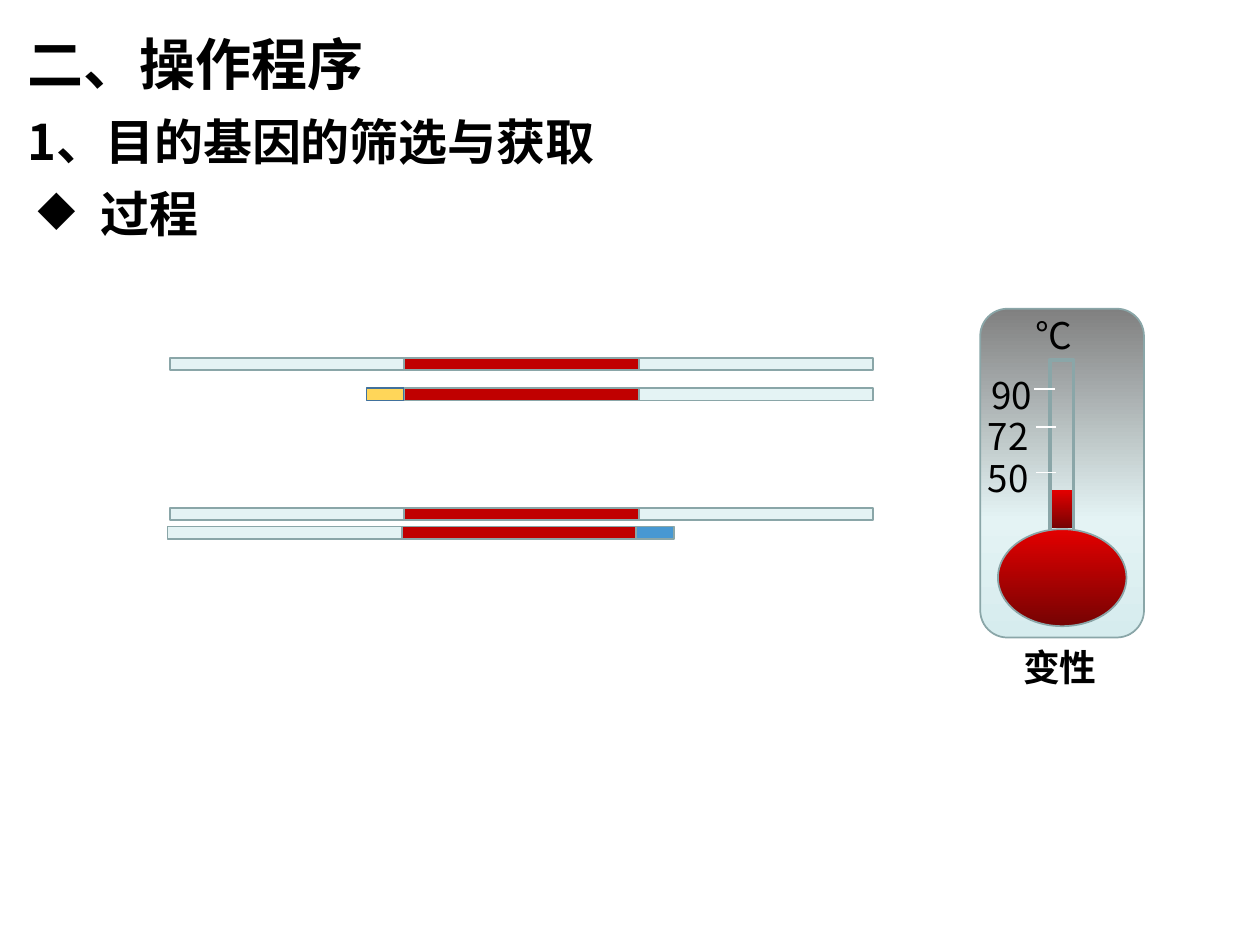
import copy
import pptx
import pptx.util
import pptx.dml.color
import pptx.enum.shapes
import pptx.enum.text
import pptx.oxml.ns
import pptx.oxml.xmlchemy

Inches = pptx.util.Inches
Pt = pptx.util.Pt
qn = pptx.oxml.ns.qn
make = pptx.oxml.xmlchemy.OxmlElement
KIND = pptx.enum.shapes.MSO_SHAPE

THEME = {
    "font": "Noto Sans CJK SC", "label": "Arial", "ink": "000000",
    "pale": "E4F3F4", "gene": "C00000", "left": "FFD659", "right": "4798D2",
    "edge": "8AA6A8", "navy": "41719C", "tick": "FFFFFF",
    "heat": [(0, "E30000"), (100, "760303")],
    "case": [(0, "808080"), (64, "E4F3F4"), (100, "D6ECEE")],
    "title": 32, "head": 28, "scale": 21,
}

UNIT, PRIMER, THICK = 1.86, 0.3, 0.1
TEMPLATE = [("pale", UNIT), ("gene", UNIT), ("pale", UNIT)]
STRANDS = [
    (1.35, 2.84, TEMPLATE),
    (2.91, 3.08, [("left", PRIMER), ("gene", UNIT), ("pale", UNIT)]),
    (1.33, 4.18, [("pale", UNIT), ("gene", UNIT), ("right", PRIMER)]),
    (1.35, 4.03, TEMPLATE),
]
MARKS = [
    ("90", 7.81, 2.93, 8.21, 3.09),
    ("72", 7.78, 3.25, 8.22, 3.39),
    ("50", 7.78, 3.59, 8.22, 3.75),
]
TICK = 0.16
BODY = [
    (KIND.ROUNDED_RECTANGLE, (7.78, 2.45, 1.3, 2.61), "case", "edge", 1),
    (KIND.RECTANGLE, (8.33, 3.89, 0.19, 0.3), "heat", None, 0),
    (KIND.RECTANGLE, (8.33, 2.86, 0.19, 1.64), None, "edge", 2.25),
    (KIND.OVAL, (7.92, 4.2, 1.02, 0.77), "heat", "edge", 1),
]
TITLES = [("二、操作程序", THEME["title"]), ("1、目的基因的筛选与获取", THEME["head"])]


def tint(key):
    return pptx.dml.color.RGBColor.from_string(THEME[key])


def blend(shape, stops):
    shape.fill.gradient()
    shape.fill.gradient_angle = 270
    items = shape.element.spPr.find(qn("a:gradFill")).find(qn("a:gsLst"))
    for old in list(items):
        items.remove(old)
    for pos, code in stops:
        stop, color = make("a:gs"), make("a:srgbClr")
        stop.set("pos", str(pos * 1000))
        color.set("val", code)
        stop.append(color)
        items.append(stop)


def draw(shapes, kind, box, fill, line, width=1):
    shape = shapes.add_shape(kind, *map(Inches, box))
    shape.shadow.inherit = False
    if fill is None:
        shape.fill.background()
    elif isinstance(THEME[fill], list):
        blend(shape, THEME[fill])
    else:
        shape.fill.solid()
        shape.fill.fore_color.rgb = tint(fill)
    if line:
        shape.line.color.rgb = tint(line)
        shape.line.width = Pt(width)
    else:
        shape.line.fill.background()


def write(shapes, box, lines, font=THEME["font"], bold=False, pad=(0.1, 0.05),
          space=None, bullet=None):
    frame = shapes.add_textbox(*map(Inches, box)).text_frame
    frame.word_wrap = True
    frame.auto_size = pptx.enum.text.MSO_AUTO_SIZE.SHAPE_TO_FIT_TEXT
    frame.margin_left = frame.margin_right = Inches(pad[0])
    frame.margin_top = frame.margin_bottom = Inches(pad[1])
    for i, (text, size) in enumerate(lines):
        para = frame.add_paragraph() if i else frame.paragraphs[0]
        if space:
            para.line_spacing = space
        if bullet:
            props = para._p.get_or_add_pPr()
            props.set("marL", str(Inches(0.5)))
            props.set("indent", str(-Inches(0.5)))
            mark = make("a:buChar")
            mark.set("char", bullet)
            props.append(mark)
        run = para.add_run()
        run.text = text
        run.font.size = Pt(size)
        run.font.bold = bold
        run.font.name = font
        run.font.color.rgb = tint("ink")
        east = make("a:ea")
        east.set("typeface", THEME["font"])
        run.font._element.append(east)


def rule(shapes, x, y):
    line = shapes.add_connector(
        pptx.enum.shapes.MSO_CONNECTOR.STRAIGHT,
        Inches(x + TICK), Inches(y), Inches(x), Inches(y))
    line.line.color.rgb = tint("tick")
    line.line.width = Pt(1)
    line._element.spPr.append(make("a:effectLst"))


def strand(shapes, x, y, parts):
    group = shapes.add_group_shape().shapes
    for fill, width in parts:
        edge = "navy" if fill == "left" else "edge"
        draw(group, KIND.RECTANGLE, (x, y, width, THICK), fill, edge)
        x += width


def main():
    deck = pptx.Presentation()
    deck.slide_width, deck.slide_height = Inches(10), Inches(7.5)
    shapes = deck.slides.add_slide(deck.slide_layouts[6]).shapes
    for x, y, parts in STRANDS:
        strand(shapes, x, y, parts)
    for part in BODY:
        draw(shapes, *part)
    size, pad = THEME["scale"], (0.06, 0.03)
    for text, x, y, left, level in MARKS:
        write(shapes, (x, y, 1.05, 0.41), [(text, size)], pad=pad)
        rule(shapes, left, level)
    write(shapes, (8.16, 2.45, 0.6, 0.41), [("℃", size)], pad=pad)
    write(shapes, (8.06, 5.09, 0.94, 0.41), [("变性", size)],
          font=THEME["label"], bold=True, pad=pad)
    group = shapes.add_group_shape().shapes
    write(group, (0.12, 0.05, 5, 1.36), TITLES, bold=True, space=1.25)
    write(group, (0.2, 1.41, 5, 0.57), [("过程", THEME["head"])],
          bold=True, bullet="◆")
    deck.save("out.pptx")


if __name__ == "__main__":
    main()
